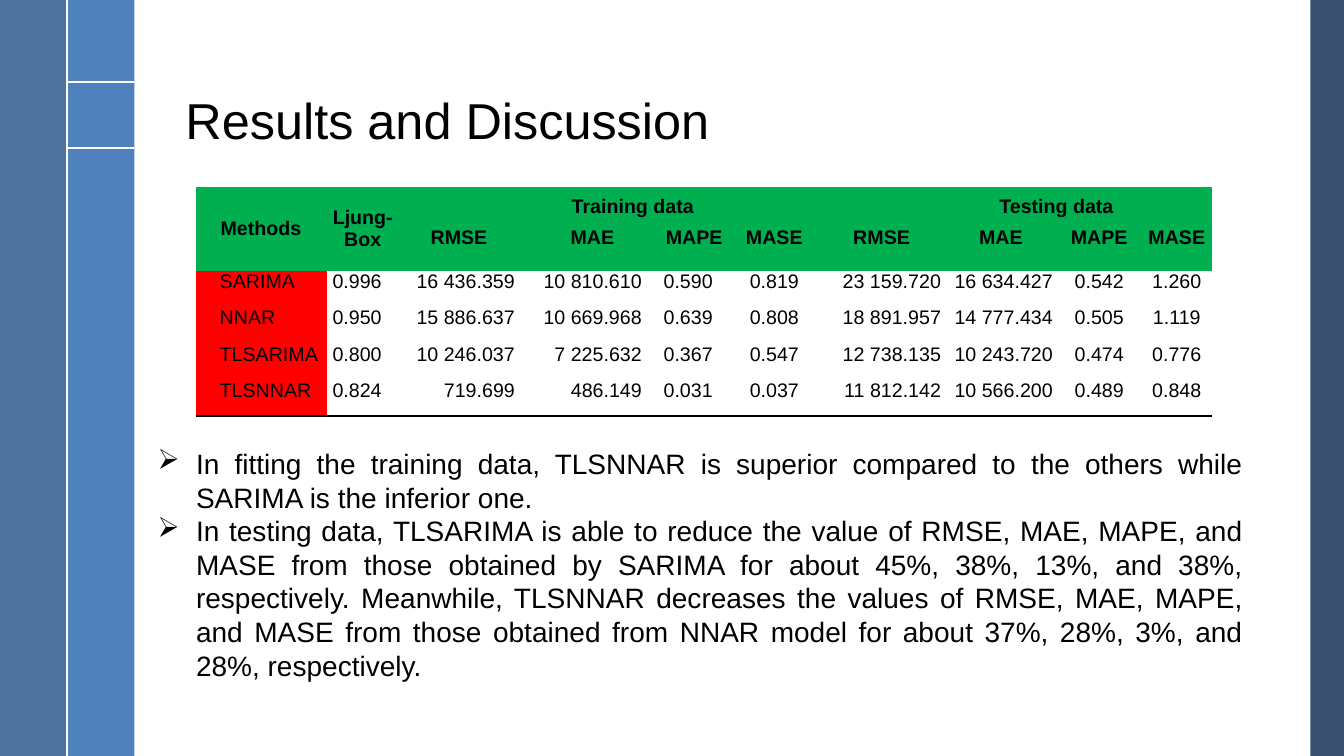
from pptx import Presentation
from pptx.dml.color import RGBColor
from pptx.enum.shapes import MSO_CONNECTOR as Link, MSO_SHAPE as Shape
from pptx.enum.text import MSO_ANCHOR as Anchor, MSO_AUTO_SIZE as Auto, PP_ALIGN as Align
from pptx.oxml import parse_xml
from pptx.oxml.ns import nsdecls, qn
from pptx.oxml.xmlchemy import OxmlElement as Node
from pptx.util import Inches, Pt

WHITE, BLACK, GREEN, RED = "FFFFFF", "000000", "00B050", "FF0000"
NO_STYLE = "{2D5ABB26-0587-4C30-8999-92F81FD0307C}"
COLS, ROWS = 20, 10


def color(code):
    """Turn a hex string into a colour."""
    return RGBColor.from_string(code)


def indent(par, first, left=0):
    """Set the first-line and left indents of a paragraph, in inches."""
    props = par._p.get_or_add_pPr()
    props.set("marL", str(Inches(left)))
    props.set("indent", str(Inches(first)))
    return props


class Deck:
    """Holds the style and the current slide."""

    font = "Arial"
    ink = BLACK

    def __init__(self):
        """Open a widescreen file with one title-only slide."""
        self.file = Presentation()
        self.file.slide_width = Inches(13.33)
        self.file.slide_height = Inches(7.5)
        self.slide = self.file.slides.add_slide(self.file.slide_layouts[5])
        self.shapes = self.slide.shapes

    def grid(self, col, row):
        """Turn grid columns and rows into lengths."""
        return (int(self.file.slide_width * col / COLS),
                int(self.file.slide_height * row / ROWS))

    def style(self, par, size, align=None, bold=False):
        """Format a paragraph and its runs."""
        par.alignment = align
        for run in par.runs:
            run.font.name, run.font.size = self.font, Pt(size)
            run.font.bold = bold
            run.font.color.rgb = color(self.ink)

    def title(self, text, col, row, wide, high):
        """Place and format the title."""
        box = self.shapes.title
        box.left, box.top = self.grid(col, row)
        box.width, box.height = self.grid(wide, high)
        frame = box.text_frame
        frame.text, frame.vertical_anchor = text, Anchor.BOTTOM
        frame.paragraphs[0].line_spacing = 0.9
        self.style(frame.paragraphs[0], 36, Align.LEFT)

    def band(self, col, wide, fill, alpha=100):
        """Draw a full-height band."""
        bar = self.shapes.add_shape(
            Shape.RECTANGLE, *self.grid(col, 0), *self.grid(wide, ROWS))
        bar.shadow.inherit = False
        bar.fill.solid()
        bar.fill.fore_color.rgb = color(fill)
        bar.line.fill.background()
        if alpha < 100:
            clear = Node("a:alpha")
            clear.set("val", str(alpha * 1000))
            bar._element.spPr.find(".//" + qn("a:srgbClr")).append(clear)

    def rule(self, start, end):
        """Draw a thin white line between two grid points."""
        line = self.shapes.add_connector(
            Link.STRAIGHT, *self.grid(*start), *self.grid(*end))
        line.line.color.rgb, line.line.width = color(WHITE), Pt(1.5)
        line._element.spPr.append(Node("a:effectLst"))

    def table(self, col, row, wide, widths, heights):
        """Add a plain table; widths are relative, heights in grid rows."""
        left, top = self.grid(col, row)
        width, height = self.grid(wide, sum(heights))
        frame = self.shapes.add_table(
            len(heights), len(widths), left, top, width, height)
        table = frame.table
        table.first_row = table.horz_banding = False
        table._tbl.tblPr.find(qn("a:tableStyleId")).text = NO_STYLE
        for part, share in zip(table.columns, widths):
            part.width = int(width * share / sum(widths))
        for part, share in zip(table.rows, heights):
            part.height = self.grid(0, share)[1]
        return table

    def cell(self, cell, text="", align=Align.CENTER, fill=None, bold=False,
             anchor=Anchor.TOP, first=0, left=0):
        """Fill and format one table cell."""
        cell.margin_left = cell.margin_right = Inches(0.04)
        cell.margin_top = cell.margin_bottom = 0
        cell.vertical_anchor = anchor
        if fill:
            cell.fill.solid()
            cell.fill.fore_color.rgb = color(fill)
        else:
            cell.fill.background()
        cell.text_frame.text = text
        par = cell.text_frame.paragraphs[0]
        self.style(par, 14, align, bold)
        indent(par, first, left)

    def under(self, cell):
        """Draw a line below a table cell."""
        edge = parse_xml(
            f'<a:lnB {nsdecls("a")} w="{Pt(1)}"><a:solidFill>'
            f'<a:srgbClr val="{self.ink}"/></a:solidFill></a:lnB>')
        cell._tc.get_or_add_tcPr().insert(0, edge)

    def bullets(self, items, col, row, wide, high):
        """Add a justified list with arrow bullets."""
        box = self.shapes.add_textbox(*self.grid(col, row), *self.grid(wide, high))
        frame = box.text_frame
        frame.word_wrap, frame.auto_size = True, Auto.SHAPE_TO_FIT_TEXT
        frame.text = "\n".join(items)
        for par in frame.paragraphs:
            self.style(par, 20, Align.JUSTIFY)
            mark = Node("a:buChar")
            mark.set("char", "➢")
            indent(par, -0.38, 0.38).append(mark)


deck = Deck()
for band in ((19.5, 0.5, "254061", 90), (1, 1, "4F81BD"), (0, 1, "376092", 88)):
    deck.band(*band)
for row in (1.08, 1.96):
    deck.rule((1, row), (2, row))
deck.rule((1, 0), (1, ROWS))
deck.title("Results and Discussion", 2.61, 0.25, 16.05, 1.81)

SCORES = ["RMSE", "MAE", "MAPE", "MASE"]
RESULTS = [
    ["SARIMA", "0.996", "16 436.359", "10 810.610", "0.590", "0.819",
     "23 159.720", "16 634.427", "0.542", "1.260"],
    ["NNAR", "0.950", "15 886.637", "10 669.968", "0.639", "0.808",
     "18 891.957", "14 777.434", "0.505", "1.119"],
    ["TLSARIMA", "0.800", "10 246.037", "7 225.632", "0.367", "0.547",
     "12 738.135", "10 243.720", "0.474", "0.776"],
    ["TLSNNAR", "0.824", "719.699", "486.149", "0.031", "0.037",
     "11 812.142", "10 566.200", "0.489", "0.848"],
]
ALIGNS = [Align.JUSTIFY] * 2 + ([Align.RIGHT] * 2 + [Align.CENTER] * 2) * 2
FIRSTS = {0: 0.2, 1: 0.02}
NUDGES = {3: 0.2, 4: 0.12}

table = deck.table(2.91, 2.48, 15.13,
                   [130, 72, 119, 126, 84, 87, 126, 111, 84, 70],
                   [0.52, 0.58] + [0.48] * len(RESULTS))
for col in range(len(ALIGNS)):
    for row in range(2):
        deck.cell(table.cell(row, col), fill=GREEN)
for col, text in enumerate(["Methods", "Ljung-Box"]):
    table.cell(0, col).merge(table.cell(1, col))
    deck.cell(table.cell(0, col), text, fill=GREEN, bold=True, anchor=Anchor.MIDDLE)
for col, text, left in ((2, "Training data", 0.48), (6, "Testing data", 0.82)):
    table.cell(0, col).merge(table.cell(0, col + 3))
    deck.cell(table.cell(0, col), text, fill=GREEN, bold=True,
              anchor=Anchor.MIDDLE, left=left)
for col, text in enumerate(SCORES * 2, 2):
    deck.cell(table.cell(1, col), text, fill=GREEN, bold=True,
              left=NUDGES.get(col, 0))
for row, values in enumerate(RESULTS, 2):
    for col, text in enumerate(values):
        deck.cell(table.cell(row, col), text, ALIGNS[col],
                  RED if col == 0 else None, first=FIRSTS.get(col, 0))
for cell in table.rows[len(RESULTS) + 1].cells:
    deck.under(cell)

deck.bullets([
    "In fitting the training data, TLSNNAR is superior compared to the others "
    "while SARIMA is the inferior one.",
    "In testing data, TLSARIMA is able to reduce the value of RMSE, MAE, MAPE, "
    "and MASE from those obtained by SARIMA for about 45%, 38%, 13%, and 38%, "
    "respectively. Meanwhile, TLSNNAR decreases the values of RMSE, MAE, MAPE, "
    "and MASE from those obtained from NNAR model for about 37%, 28%, 3%, and "
    "28%, respectively.",
], 2.2, 5.84, 16.45, 3.28)
deck.file.save("out.pptx")
